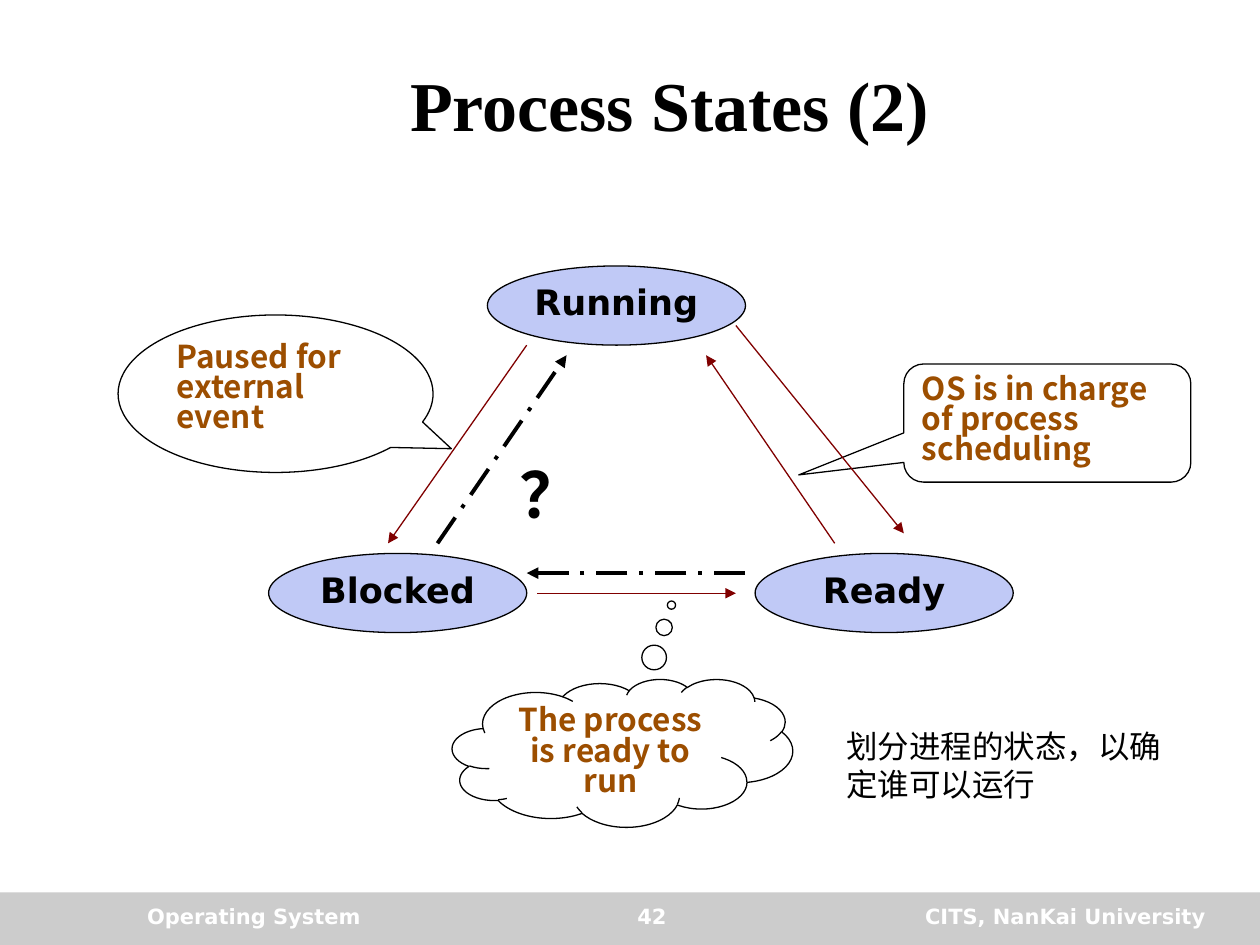
from lxml import etree
from pptx import Presentation
from pptx.dml.color import RGBColor
from pptx.enum.dml import MSO_LINE as Dash
from pptx.enum.shapes import MSO_CONNECTOR as Link, MSO_SHAPE as Kind
from pptx.enum.text import MSO_ANCHOR as Anchor, PP_ALIGN as Align
from pptx.oxml.ns import qn
from pptx.util import Pt

SANS, CJK, SERIF = "DejaVu Sans", "Noto Sans CJK SC", "Times New Roman"
hue = RGBColor.from_string


def write(shape, text, size, color, font=SANS, bold=True, align=Align.LEFT,
          anchor=Anchor.TOP, wrap=True, space=1.0):
    frame = shape.text_frame
    frame.word_wrap = wrap
    frame.vertical_anchor = anchor
    para = frame.paragraphs[0]
    para.alignment = align
    para.line_spacing = space
    run = para.add_run()
    run.text = text
    run.font.size = Pt(size)
    run.font.bold = bold
    run.font.name = font
    run.font.color.rgb = hue(color)
    # East Asian characters take their own typeface
    east = etree.SubElement(run.font._element, qn("a:ea"))
    east.set("typeface", CJK)


def draw(kind, box, fill=None, line="000000"):
    shape = shapes.add_shape(kind, *map(Pt, box))
    shape.shadow.inherit = False
    if fill:
        shape.fill.solid()
        shape.fill.fore_color.rgb = hue(fill)
    else:
        shape.fill.background()
    if line:
        shape.line.color.rgb = hue(line)
        shape.line.width = Pt(0.75)
    else:
        shape.line.fill.background()
    return shape


deck = Presentation()
deck.slide_width, deck.slide_height = Pt(720), Pt(540)
slide = deck.slides.add_slide(deck.slide_layouts[5])
shapes = slide.shapes

# Title
title = shapes.title
title.left, title.top, title.width, title.height = map(Pt, (76.5, 24, 612.5, 70.5))
write(title, "Process States (2)", 40, "000000", SERIF,
      align=Align.CENTER, anchor=Anchor.MIDDLE)

# Footer bar
draw(Kind.RECTANGLE, (0, 510, 720, 30), "CCCCCC", None)
for text, left, width, align in (
        ("Operating System", 77, 198, Align.LEFT),
        ("CITS, NanKai University", 468, 228, Align.RIGHT),
        ("42", 288.5, 168, Align.CENTER)):
    box = shapes.add_textbox(Pt(left), Pt(512.5), Pt(width), Pt(24))
    write(box, text, 12, "FFFFFF", align=align)

# States
for name, left, top in (("Running", 278.5, 152),
                        ("Blocked", 153.5, 316.25),
                        ("Ready", 431.5, 316.25)):
    state = draw(Kind.OVAL, (left, top, 147.5, 45.25), "C0C9F6")
    write(state, name, 20, "000000", align=Align.CENTER,
          anchor=Anchor.MIDDLE, wrap=False, space=0.8)

# Callouts
for text, kind, box, points, align in (
        ("The process is ready to run", Kind.CLOUD_CALLOUT,
         (258.5, 388, 194.5, 84.5), (0.144, -1), Align.CENTER),
        ("Paused for external event", Kind.OVAL_CALLOUT,
         (67.5, 180, 180, 90), (0.558, 0.349), Align.LEFT),
        ("OS is in charge of process scheduling", Kind.ROUNDED_RECTANGULAR_CALLOUT,
         (516.5, 208, 164, 67.5), (-0.866, 0.439, 0.167), Align.LEFT)):
    note = draw(kind, box)
    for i, value in enumerate(points):
        note.adjustments[i] = value
    write(note, text, 18, "9C4E00", CJK, align=align, space=0.8)

# Transitions: solid ones happen, dashed ones are in question
solid, query = ("800000", 0.75, None), ("000000", 2.25, Dash.LONG_DASH_DOT)
for ends, (color, width, dash) in (
        ((301, 197.25, 221.75, 310.5), solid),
        ((420.5, 186, 516.5, 304.75), solid),
        ((307, 339, 420.5, 339), solid),
        ((477, 310.5, 403.5, 203), solid),
        ((250, 310.5, 323.75, 203), query),
        ((425.75, 327.5, 301, 327.5), query)):
    arrow = shapes.add_connector(Link.STRAIGHT, *map(Pt, ends))
    arrow.line.color.rgb = hue(color)
    arrow.line.width = Pt(width)
    if dash:
        arrow.line.dash_style = dash
    head = etree.SubElement(arrow.line._get_or_add_ln(), qn("a:tailEnd"))
    head.set("type", "triangle")
    etree.SubElement(arrow._element.spPr, qn("a:effectLst"))

# Remarks
mark = shapes.add_textbox(Pt(289.5), Pt(265), Pt(39.5), Pt(42.5))
write(mark, "？", 36, "000000", space=0.8)
remark = shapes.add_textbox(Pt(476.5), Pt(412), Pt(211.5), Pt(51))
write(remark, "划分进程的状态，以确定谁可以运行", 18, "000000", bold=False)

deck.save("out.pptx")
